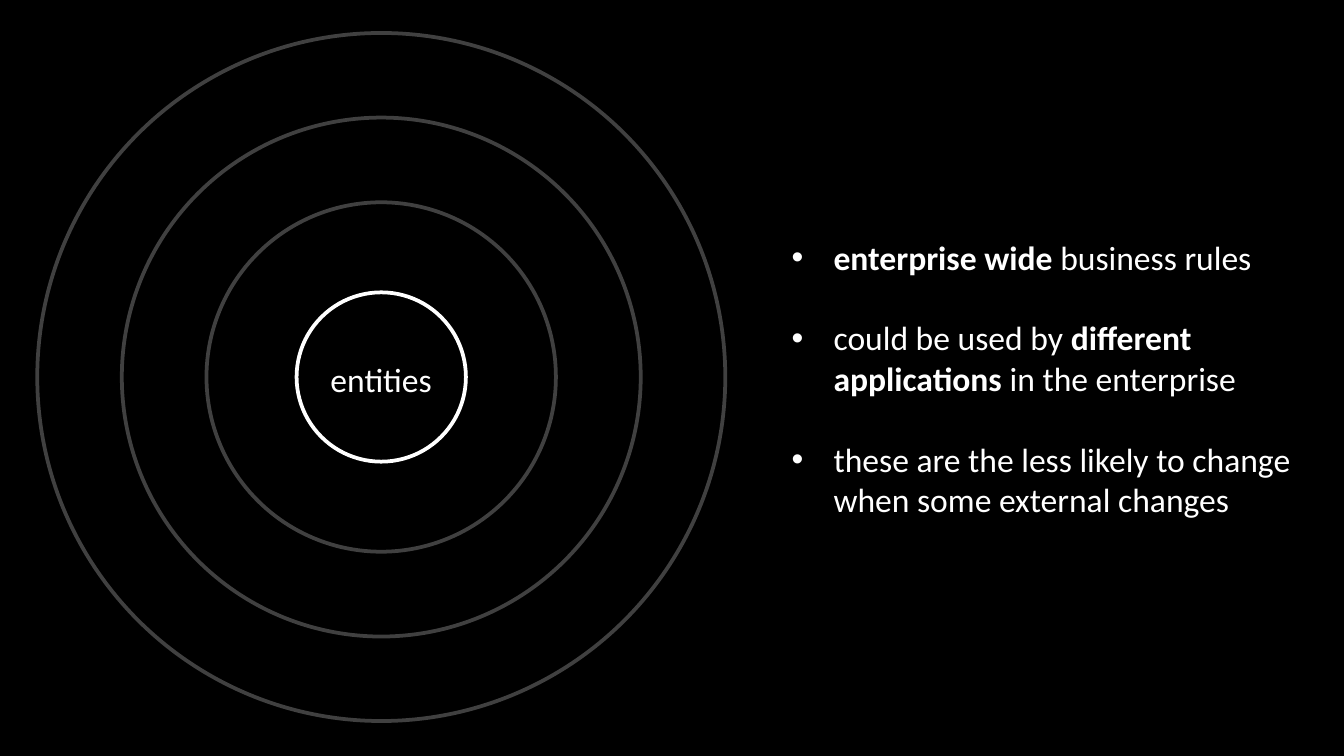
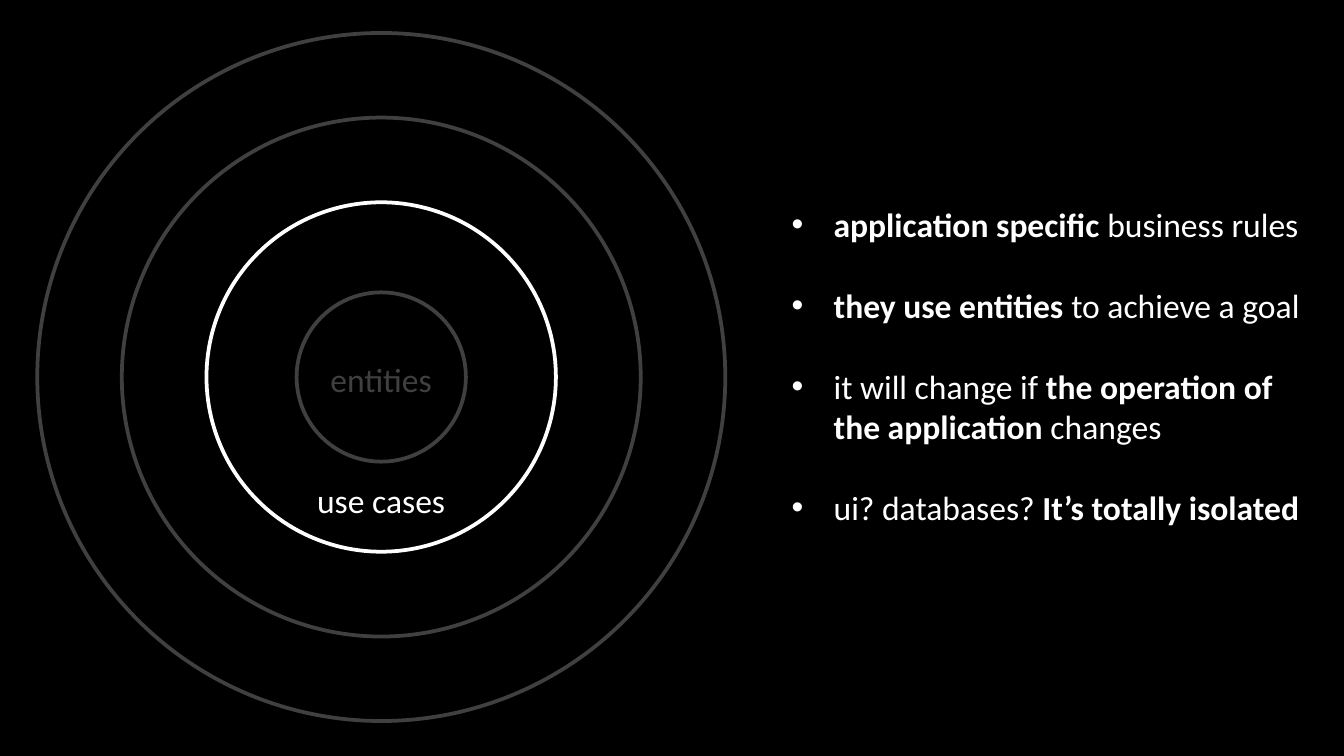
"""Build two slides that explain the inner circles of a layered architecture."""
from dataclasses import dataclass

from lxml.etree import SubElement
from pptx import Presentation
from pptx.dml.color import RGBColor
from pptx.enum.shapes import MSO_SHAPE
from pptx.enum.text import MSO_AUTO_SIZE, PP_ALIGN
from pptx.oxml.ns import qn
from pptx.slide import Slide
from pptx.text.text import _Paragraph as Paragraph
from pptx.util import Pt


@dataclass(frozen=True)
class Theme:
    background: RGBColor = RGBColor(0x00, 0x00, 0x00)
    active: RGBColor = RGBColor(0xFF, 0xFF, 0xFF)
    muted: RGBColor = RGBColor(0x40, 0x40, 0x40)
    font: str = "Calibri"
    bullet_font: str = "Arial"
    text_size: float = 18
    ring_width: float = 2
    bullet_indent: float = 22.5
    bullet_gap: float = 21.75


@dataclass(frozen=True)
class Ring:
    name: str
    diameter: float
    label_top: float = 0
    label_width: float = 0


@dataclass(frozen=True)
class Span:
    text: str
    bold: bool = False


@dataclass(frozen=True)
class Layer:
    active_ring: str
    labels: tuple[str, ...]
    top: float
    width: float
    height: float
    bullets: tuple[tuple[Span, ...], ...]


THEME = Theme()
CENTER_X, CENTER_Y = 204.25, 202
BULLETS_LEFT = 417
LABEL_HEIGHT = 29

RINGS = (
    Ring("frameworks", 368.6),
    Ring("adapters", 278),
    Ring("use cases", 187.2, 253.4, 84.2),
    Ring("entities", 90.7, 188.6, 69.8),
)

LAYERS = (
    Layer("entities", ("entities",), 123.1, 283.7, 159.8, (
        (Span("enterprise wide ", True), Span("business rules")),
        (Span("could be used by "), Span("different applications", True),
         Span(" in the enterprise")),
        (Span("these are the less likely to change when some external changes"),),
    )),
    Layer("use cases", ("entities", "use cases"), 105.8, 289.4, 181.4, (
        (Span("application specific ", True), Span("business rules")),
        (Span("they use entities ", True), Span("to achieve a goal")),
        (Span("it will change if "), Span("the operation of the application ", True),
         Span("changes")),
        (Span("ui? databases? "), Span("It’s totally isolated", True)),
    )),
)


def format_runs(paragraph: Paragraph, color: RGBColor) -> None:
    """Apply the shared font, size and a colour to every run."""
    for run in paragraph.runs:
        run.font.name = THEME.font
        run.font.size = Pt(THEME.text_size)
        run.font.color.rgb = color


def set_bullet(paragraph: Paragraph) -> None:
    """Give a paragraph a round bullet with a hanging indent."""
    properties = paragraph._p.get_or_add_pPr()
    properties.set("marL", str(Pt(THEME.bullet_indent)))
    properties.set("indent", str(-Pt(THEME.bullet_indent)))
    SubElement(properties, qn("a:buFont")).set("typeface", THEME.bullet_font)
    SubElement(properties, qn("a:buChar")).set("char", "•")


def draw_ring(page: Slide, ring: Ring, color: RGBColor) -> None:
    """Draw one circle around the common centre."""
    radius = ring.diameter / 2
    circle = page.shapes.add_shape(
        MSO_SHAPE.OVAL, Pt(CENTER_X - radius), Pt(CENTER_Y - radius),
        Pt(ring.diameter), Pt(ring.diameter))
    circle.shadow.inherit = False
    circle.fill.background()
    circle.line.color.rgb = color
    circle.line.width = Pt(THEME.ring_width)


def draw_label(page: Slide, ring: Ring, color: RGBColor) -> None:
    """Write the name of a ring on the vertical axis of the circles."""
    box = page.shapes.add_textbox(
        Pt(CENTER_X - ring.label_width / 2), Pt(ring.label_top),
        Pt(ring.label_width), Pt(LABEL_HEIGHT))
    frame = box.text_frame
    frame.word_wrap = False
    frame.auto_size = MSO_AUTO_SIZE.SHAPE_TO_FIT_TEXT
    frame.text = ring.name
    frame.paragraphs[0].alignment = PP_ALIGN.CENTER
    format_runs(frame.paragraphs[0], color)


def draw_bullets(page: Slide, layer: Layer) -> None:
    """Write the bullet list of a layer beside the circles."""
    box = page.shapes.add_textbox(
        Pt(BULLETS_LEFT), Pt(layer.top), Pt(layer.width), Pt(layer.height))
    frame = box.text_frame
    frame.word_wrap = True
    frame.auto_size = MSO_AUTO_SIZE.SHAPE_TO_FIT_TEXT
    for index, spans in enumerate(layer.bullets):
        paragraph = frame.add_paragraph() if index else frame.paragraphs[0]
        set_bullet(paragraph)
        if index:
            paragraph.space_before = Pt(THEME.bullet_gap)
        for span in spans:
            run = paragraph.add_run()
            run.text = span.text
            run.font.bold = span.bold
        format_runs(paragraph, THEME.active)


def draw_layer(page: Slide, layer: Layer) -> None:
    """Draw the circles, their labels and the bullet list of a layer."""
    page.background.fill.solid()
    page.background.fill.fore_color.rgb = THEME.background
    for ring in RINGS:
        color = THEME.active if ring.name == layer.active_ring else THEME.muted
        draw_ring(page, ring, color)
        if ring.name in layer.labels:
            draw_label(page, ring, color)
    draw_bullets(page, layer)


def main() -> None:
    """Build the deck and save it."""
    deck = Presentation()
    deck.slide_width, deck.slide_height = Pt(720), Pt(405)
    blank_layout = deck.slide_layouts[6]
    for layer in LAYERS:
        draw_layer(deck.slides.add_slide(blank_layout), layer)
    deck.save("out.pptx")


if __name__ == "__main__":
    main()
